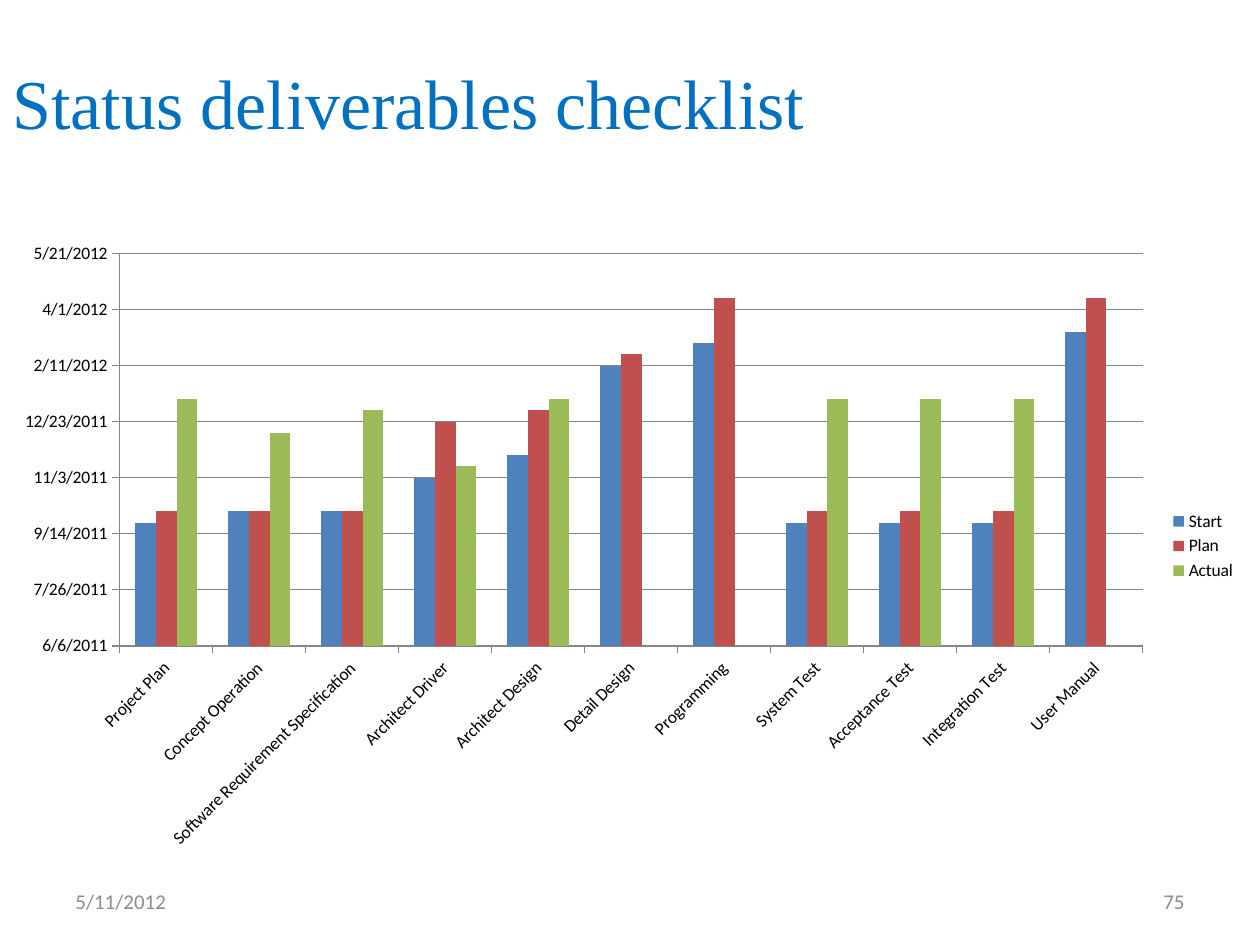
from pptx import Presentation
from pptx import util as u
from pptx.chart.data import CategoryChartData
from pptx.dml.color import RGBColor
from pptx.enum import chart as charts, text

PX = 914400 / 126

BLUE = RGBColor(0x00, 0x70, 0xC0)
GREY = RGBColor(0x8C, 0x8C, 0x8C)
LINE = RGBColor(0x86, 0x86, 0x86)
BLACK = RGBColor(0x00, 0x00, 0x00)

# Dates are day serials to the nearest ten days, shown as m/d/yyyy
FIRST_DAY, LAST_DAY, DAY_STEP = 40700, 41050, 50
DELIVERABLES = [
    # name, start, plan, actual
    ("Project Plan", 40810, 40820, 40920),
    ("Concept Operation", 40820, 40820, 40890),
    ("Software Requirement Specification", 40820, 40820, 40910),
    ("Architect Driver", 40850, 40900, 40860),
    ("Architect Design", 40870, 40910, 40920),
    ("Detail Design", 40950, 40960, None),
    ("Programming", 40970, 41010, None),
    ("System Test", 40810, 40820, 40920),
    ("Acceptance Test", 40810, 40820, 40920),
    ("Integration Test", 40810, 40820, 40920),
    ("User Manual", 40980, 41010, None),
]
SERIES = [
    ("Start", RGBColor(0x4F, 0x81, 0xBD)),
    ("Plan", RGBColor(0xC0, 0x50, 0x4D)),
    ("Actual", RGBColor(0x9B, 0xBB, 0x59)),
]


def px(*lengths):
    return [u.Emu(round(length * PX)) for length in lengths]


def add_label(page, bounds, words, size, font, color, align=text.PP_ALIGN.LEFT):
    box = page.shapes.add_textbox(*px(*bounds))
    frame = box.text_frame
    frame.text = words
    frame.word_wrap = True
    frame.vertical_anchor = text.MSO_ANCHOR.MIDDLE
    para = frame.paragraphs[0]
    para.alignment = align
    span = para.runs[0]
    span.font.size = u.Pt(size)
    span.font.name = font
    span.font.color.rgb = color


def add_footer(page, bounds):
    left, top, width, height = bounds
    part = 294
    add_label(page, (left, top, part, height), "5/11/2012", 12, "Calibri", GREY)
    add_label(page, (left + width - part, top, part, height), "75", 12,
              "Calibri", GREY, text.PP_ALIGN.RIGHT)


def add_status_chart(page, bounds):
    names, *columns = zip(*DELIVERABLES)
    data = CategoryChartData(number_format="m/d/yyyy")
    data.categories = names
    for (name, _), days in zip(SERIES, columns):
        data.add_series(name, days)
    chart = page.shapes.add_chart(
        charts.XL_CHART_TYPE.COLUMN_CLUSTERED, *px(*bounds), data).chart
    chart.has_title = False
    chart.font.size = u.Pt(10)
    chart.font.name = "Calibri"
    chart.font.color.rgb = BLACK

    # Columns
    plot = chart.plots[0]
    plot.gap_width = 150
    plot.overlap = 0
    plot.vary_by_categories = False
    for series, (_, color) in zip(plot.series, SERIES):
        series.format.fill.solid()
        series.format.fill.fore_color.rgb = color

    # Axes
    dates, deliverables = chart.value_axis, chart.category_axis
    for axis in (dates, deliverables):
        axis.major_tick_mark = charts.XL_TICK_MARK.OUTSIDE
        axis.minor_tick_mark = charts.XL_TICK_MARK.NONE
        axis.format.line.color.rgb = LINE
        axis.tick_labels.font.size = u.Pt(10)
    dates.minimum_scale, dates.maximum_scale = FIRST_DAY, LAST_DAY
    dates.major_unit = DAY_STEP
    dates.has_major_gridlines = True
    dates.major_gridlines.format.line.color.rgb = LINE
    dates.tick_labels.number_format = "m/d/yyyy"
    dates.tick_labels.number_format_is_linked = False
    # Slant the deliverable names by 45 degrees
    body = deliverables._element.find(".//{*}txPr/{*}bodyPr")
    body.set("rot", "-2700000")
    body.set("vert", "horz")

    # Legend
    chart.has_legend = True
    chart.legend.position = charts.XL_LEGEND_POSITION.RIGHT
    chart.legend.include_in_layout = False


def main():
    deck = Presentation()
    deck.slide_width, deck.slide_height = px(1260, 945)
    page = deck.slides.add_slide(deck.slide_layouts[6])
    add_footer(page, (63, 876, 1134, 50))
    add_status_chart(page, (0, 231, 1249, 630))
    add_label(page, (0, 0, 1166, 203), "Status deliverables checklist", 40,
              "Times New Roman", BLUE)
    deck.save("out.pptx")


if __name__ == "__main__":
    main()
